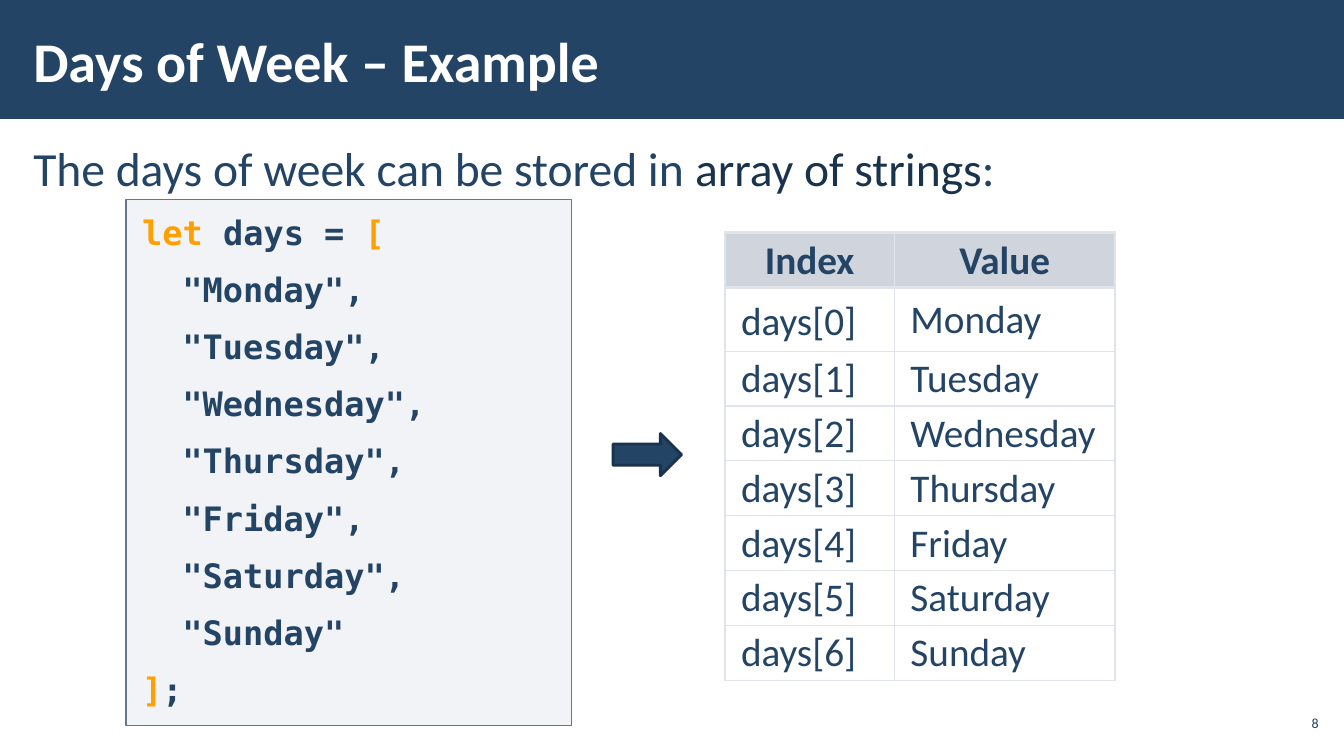
import pptx
import pptx.util
import pptx.dml.color
import pptx.enum.shapes
import pptx.enum.text
import pptx.oxml.ns
import lxml.etree

Inches, Pt = pptx.util.Inches, pptx.util.Pt
RGB = pptx.dml.color.RGBColor
SHAPE = pptx.enum.shapes.MSO_SHAPE
ALIGN = pptx.enum.text.PP_ALIGN
ANCHOR = pptx.enum.text.MSO_ANCHOR
qn = pptx.oxml.ns.qn

NAVY = RGB(0x23, 0x44, 0x65)
DARK = RGB(0x1A, 0x33, 0x4C)
WHITE = RGB(0xFF, 0xFF, 0xFF)
AMBER = RGB(0xFF, 0xA0, 0x00)
PALE = RGB(0xAD, 0xB4, 0xC3)
SLATE = RGB(0x67, 0x74, 0x8E)
HEAD = RGB(0xA3, 0xAB, 0xBC)
RULE = RGB(0xE0, 0xE3, 0xE9)
SANS, MONO = "Calibri", "DejaVu Sans Mono"

TITLE = "Days of Week – Example"
INTRO = [("The days of week can be stored in ", NAVY),
         ("array of strings", DARK), (":", NAVY)]
DAYS = ["Monday", "Tuesday", "Wednesday", "Thursday",
        "Friday", "Saturday", "Sunday"]
CODE = [[("let ", AMBER), ("days = ", NAVY), ("[", AMBER)]]
CODE += [[(f'"{day}"' + ("," if day != DAYS[-1] else ""), NAVY)] for day in DAYS]
CODE += [[("]", AMBER), (";", NAVY)]]
ROWS = [("Index", "Value")] + [(f"days[{i}]", day) for i, day in enumerate(DAYS)]
PAGE = "8"

WIDE, HIGH = 13.33, 7.5
LEFT = 0.21
COLS = [1.68, 2.19]
ROW, TALL = 0.54, 0.63
INDENT = 0.4


def box(*sides):
    return [Inches(side) for side in sides]


def inset(frame, x, y):
    frame.margin_left = frame.margin_right = Inches(x)
    frame.margin_top = frame.margin_bottom = Inches(y)
    frame.word_wrap = True


def write(para, runs, size, face=SANS, bold=False, align=ALIGN.LEFT):
    para.alignment = align
    para.font.size, para.font.name, para.font.bold = Pt(size), face, bold
    for text, color in runs:
        run = para.add_run()
        run.text = text
        run.font.color.rgb = color


def fade(fill, color, share):
    fill.solid()
    fill.fore_color.rgb = color
    node = fill._xPr.find(".//" + qn("a:srgbClr"))
    lxml.etree.SubElement(node, qn("a:alpha")).set("val", str(share * 1000))


def shape(kind, place):
    item = slide.shapes.add_shape(kind, *box(*place))
    item.shadow.inherit = False
    item.fill.solid()
    item.fill.fore_color.rgb = NAVY
    return item


def border(cell, widths):
    props = cell._tc.get_or_add_tcPr()
    for spot, (side, width) in enumerate(zip("LRTB", widths)):
        line = lxml.etree.Element(qn(f"a:ln{side}"), w=str(Pt(width)))
        fill = lxml.etree.SubElement(line, qn("a:solidFill"))
        lxml.etree.SubElement(fill, qn("a:srgbClr"), val=str(RULE))
        props.insert(spot, line)


deck = pptx.Presentation()
deck.slide_width, deck.slide_height = box(WIDE, HIGH)
slide = deck.slides.add_slide(deck.slide_layouts[5])

bar = shape(SHAPE.RECTANGLE, (0, -0.02, WIDE, 1.2))
bar.line.fill.background()
slide.shapes._spTree.insert(2, bar._element)

title = slide.shapes.title
title.left, title.top, title.width, title.height = box(LEFT, 0.11, 10.4, 0.97)
inset(title.text_frame, 0.12, 0.04)
title.text_frame.vertical_anchor = ANCHOR.MIDDLE
write(title.text_frame.paragraphs[0], [(TITLE, WHITE)], 40, bold=True)

intro = slide.shapes.add_textbox(*box(LEFT, 1.31, WIDE - 2 * LEFT, 5.67)).text_frame
inset(intro, 0.12, 0.04)
para = intro.paragraphs[0]
para.line_spacing = 1.05
para.space_before = para.space_after = Pt(6)
write(para, INTRO, 34)

page = slide.shapes.add_textbox(*box(12.65, 7, 0.47, 0.34)).text_frame
inset(page, 0.04, 0.04)
page.vertical_anchor = ANCHOR.MIDDLE
write(page.paragraphs[0], [(PAGE, NAVY)], 10, align=ALIGN.RIGHT)

panel = shape(SHAPE.RECTANGLE, (1.25, 1.98, 4.42, 5.22))
fade(panel.fill, PALE, 15)
panel.line.color.rgb, panel.line.width = SLATE, Pt(1)
code = panel.text_frame
inset(code, 0.16, 0.12)
code.vertical_anchor = ANCHOR.TOP
code.auto_size = pptx.enum.text.MSO_AUTO_SIZE.SHAPE_TO_FIT_TEXT
for i, runs in enumerate(CODE):
    para = code.add_paragraph() if i else code.paragraphs[0]
    para.space_before = para.space_after = Pt(6)
    write(para, runs, 24, MONO, True)
    if 0 < i < len(CODE) - 1:
        para._p.get_or_add_pPr().set("marL", str(Inches(INDENT)))

arrow = shape(SHAPE.RIGHT_ARROW, (6.08, 4.3, 0.68, 0.42))
arrow.line.color.rgb, arrow.line.width = DARK, Pt(2)

highs = [TALL if i == 1 else ROW for i in range(len(ROWS))]
place = box(7.19, 2.31, sum(COLS), sum(highs))
table = slide.shapes.add_table(len(ROWS), len(COLS), *place).table
for col, width in zip(table.columns, COLS):
    col.width = Inches(width)
for r, row in enumerate(ROWS):
    table.rows[r].height = Inches(highs[r])
    for c, text in enumerate(row):
        cell = table.cell(r, c)
        cell.margin_left = cell.margin_right = Inches(0.16)
        cell.margin_top = cell.margin_bottom = Inches(0.05)
        cell.vertical_anchor = ANCHOR.MIDDLE
        para = cell.text_frame.paragraphs[0]
        para.line_spacing = Pt(38) if (r, c) == (1, 0) else 0.95
        write(para, [(text, NAVY)], 28, bold=r == 0,
              align=ALIGN.LEFT if r else ALIGN.CENTER)
        if r:
            cell.fill.background()
        else:
            fade(cell.fill, HEAD, 50)
        edges = (c == 0, c == 1, r < 2, r == 0)
        border(cell, [2.25 if thick else 1 for thick in edges])

deck.save("out.pptx")
